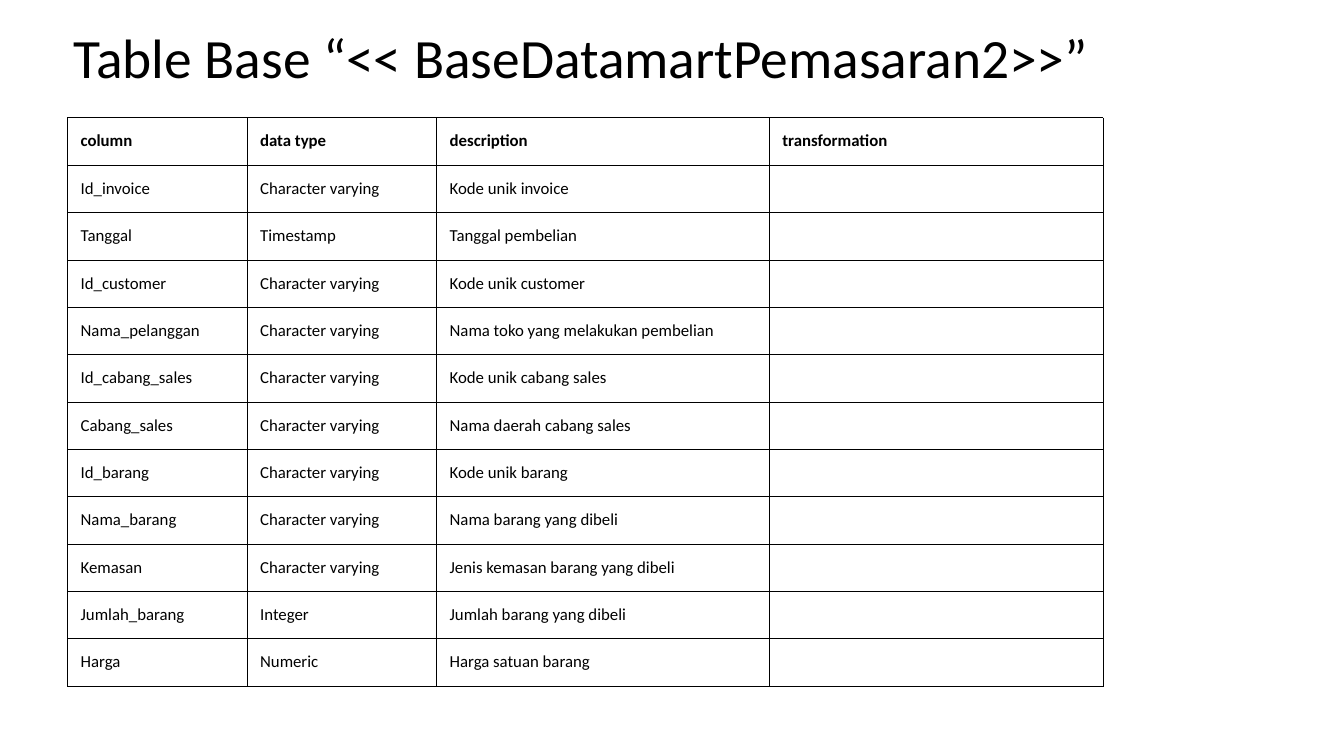
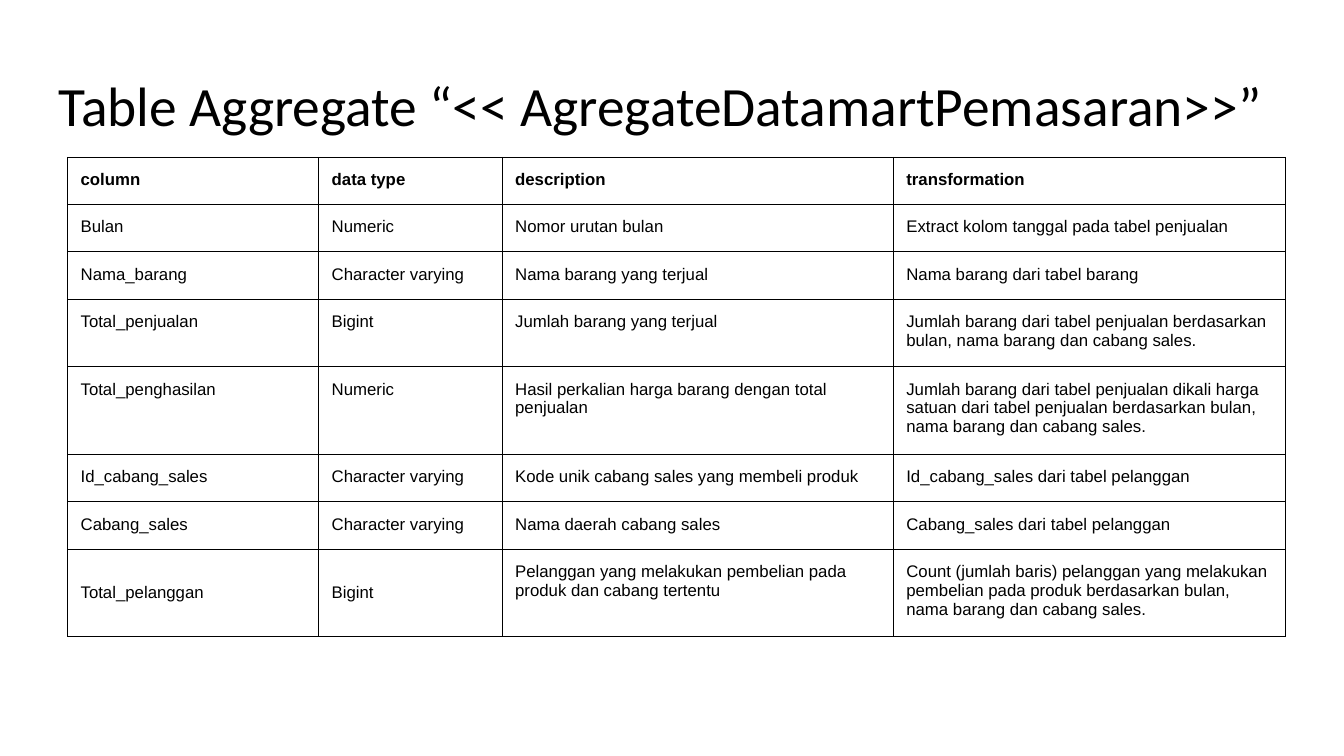
from dataclasses import dataclass
from lxml.etree import SubElement
from pptx import Presentation
from pptx.dml.color import RGBColor
from pptx.enum.text import MSO_ANCHOR, MSO_AUTO_SIZE, PP_ALIGN
from pptx.oxml.ns import qn
from pptx.util import Inches, Pt

# Content
HEADER = ("column", "data type", "description", "transformation")
VARCHAR = "Character varying"

BASE_ROWS = [
    ("Id_invoice", VARCHAR, "Kode unik invoice", ""),
    ("Tanggal", "Timestamp", "Tanggal pembelian", ""),
    ("Id_customer", VARCHAR, "Kode unik customer", ""),
    ("Nama_pelanggan", VARCHAR, "Nama toko yang melakukan pembelian", ""),
    ("Id_cabang_sales", VARCHAR, "Kode unik cabang sales", ""),
    ("Cabang_sales", VARCHAR, "Nama daerah cabang sales", ""),
    ("Id_barang", VARCHAR, "Kode unik barang", ""),
    ("Nama_barang", VARCHAR, "Nama barang yang dibeli", ""),
    ("Kemasan", VARCHAR, "Jenis kemasan barang yang dibeli", ""),
    ("Jumlah_barang", "Integer", "Jumlah barang yang dibeli", ""),
    ("Harga", "Numeric", "Harga satuan barang", ""),
]

AGGREGATE_ROWS = [
    ("Bulan", "Numeric", "Nomor urutan bulan",
     "Extract kolom tanggal pada tabel penjualan"),
    ("Nama_barang", VARCHAR, "Nama barang yang terjual",
     "Nama barang dari tabel barang"),
    ("Total_penjualan", "Bigint", "Jumlah barang yang terjual",
     "Jumlah barang dari tabel penjualan berdasarkan bulan, "
     "nama barang dan cabang sales."),
    ("Total_penghasilan", "Numeric",
     "Hasil perkalian harga barang dengan total penjualan",
     "Jumlah barang dari tabel penjualan dikali harga satuan dari tabel "
     "penjualan berdasarkan bulan, nama barang dan cabang sales."),
    ("Id_cabang_sales", VARCHAR, "Kode unik cabang sales yang membeli produk",
     "Id_cabang_sales dari tabel pelanggan"),
    ("Cabang_sales", VARCHAR, "Nama daerah cabang sales",
     "Cabang_sales dari tabel pelanggan"),
    ("Total_pelanggan", "Bigint",
     "Pelanggan yang melakukan pembelian pada produk dan cabang tertentu",
     "Count (jumlah baris) pelanggan yang melakukan pembelian pada produk "
     "berdasarkan bulan, nama barang dan cabang sales."),
]

# Lengths in inches; lines = text lines in each row; centred = (row, column)
SLIDES = [
    dict(title="Table Base “<< BaseDatamartPemasaran2>>”", title_at=(0.6, 0.17),
         rows=BASE_ROWS, top=1.17, font="Calibri", columns=(1.78, 1.88, 3.3, 3.31),
         lines=[1] * 12, centred=()),
    dict(title="Table Aggregate “<< AgregateDatamartPemasaran>>”", title_at=(0.45, 0.65),
         rows=AGGREGATE_ROWS, top=1.56, font="Arial", columns=(2.49, 1.82, 3.88, 3.89),
         lines=[1, 1, 1, 2, 3, 1, 1, 3], centred=((7, 0), (7, 1))),
]


@dataclass(frozen=True)
class Theme:
    ink: str = "000000"
    title_font: str = "Calibri"
    title_size: float = 39.6
    cell_size: int = 12
    border: float = 0.75
    inset: float = 0.13
    title_width: float = 12.42
    title_height: float = 0.84
    table_left: float = 0.67
    row_height: float = 0.47
    line_height: float = 0.2


THEME = Theme()


# Text shared by titles and cells
def set_insets(target):
    for side in ("left", "top", "right", "bottom"):
        setattr(target, f"margin_{side}", Inches(THEME.inset))


def add_run(p, text, font, size, bold=False):
    r = p.add_run()
    r.text = text
    r.font.name, r.font.size, r.font.bold = font, Pt(size), bold
    r.font.color.rgb = RGBColor.from_string(THEME.ink)


def format_title(sp, text, at):
    sp.left, sp.top = (Inches(v) for v in at)
    sp.width, sp.height = Inches(THEME.title_width), Inches(THEME.title_height)
    tf = sp.text_frame
    tf.word_wrap, tf.auto_size = True, MSO_AUTO_SIZE.NONE
    tf.vertical_anchor = MSO_ANCHOR.TOP
    set_insets(tf)
    p = tf.paragraphs[0]
    p.alignment, p.line_spacing = PP_ALIGN.LEFT, 0.9
    add_run(p, text, THEME.title_font, THEME.title_size)


# Table cells
def add_borders(cell):
    props = cell._tc.get_or_add_tcPr()
    for side in ("lnL", "lnR", "lnT", "lnB"):
        line = SubElement(props, qn(f"a:{side}"), w=str(Pt(THEME.border)))
        fill = SubElement(line, qn("a:solidFill"))
        SubElement(fill, qn("a:srgbClr"), val=THEME.ink)


def format_cell(cell, text, font, bold, anchor):
    set_insets(cell)
    cell.vertical_anchor = anchor
    add_borders(cell)
    cell.fill.background()
    p = cell.text_frame.paragraphs[0]
    if text:
        add_run(p, text, font, THEME.cell_size, bold)
    else:
        # Keeps a blank cell from stretching its row
        SubElement(p._p, qn("a:endParaRPr"), sz=str(THEME.cell_size * 100))


def add_column_table(s, rows, top, font, columns, lines, centred):
    heights = [THEME.row_height + (n - 1) * THEME.line_height for n in lines]
    table = s.shapes.add_table(
        len(heights), len(columns), Inches(THEME.table_left), Inches(top),
        Inches(sum(columns)), Inches(sum(heights))).table
    table.first_row = table.horz_banding = False
    for column, width in zip(table.columns, columns):
        column.width = Inches(width)
    for row, height in zip(table.rows, heights):
        row.height = Inches(height)
    for i, texts in enumerate([HEADER, *rows]):
        for j, text in enumerate(texts):
            anchor = MSO_ANCHOR.MIDDLE if (i, j) in centred else MSO_ANCHOR.TOP
            format_cell(table.cell(i, j), text, font, i == 0, anchor)


# Slides
prs = Presentation()
prs.slide_width, prs.slide_height = Inches(13.33), Inches(7.5)
title_only = prs.slide_layouts[5]
for content in SLIDES:
    s = prs.slides.add_slide(title_only)
    format_title(s.shapes.title, content["title"], content["title_at"])
    add_column_table(s, *(content[key] for key in (
        "rows", "top", "font", "columns", "lines", "centred")))
prs.save("out.pptx")
